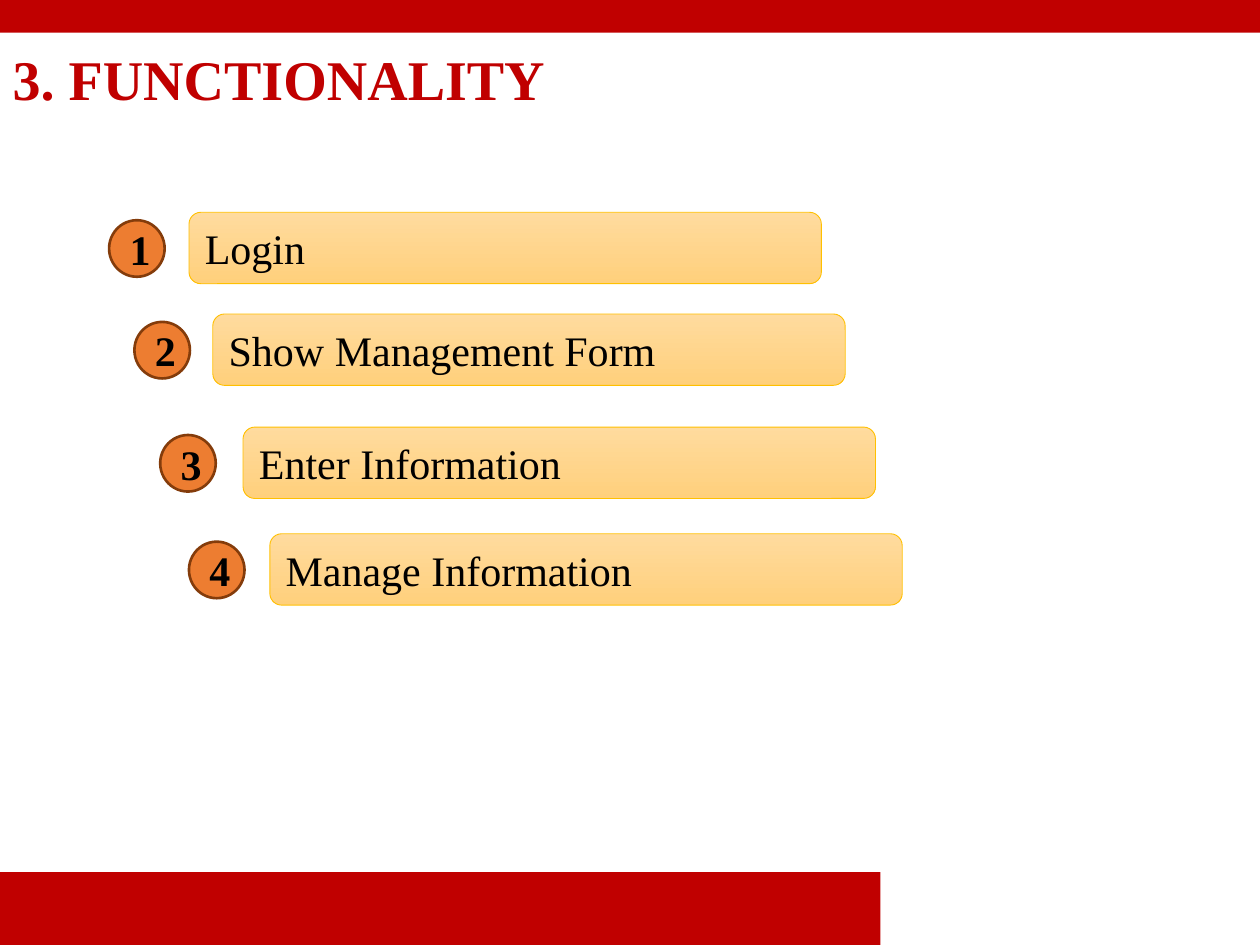
from pptx import Presentation
from pptx.dml.color import RGBColor
from pptx.enum.shapes import MSO_SHAPE
from pptx.enum.text import MSO_ANCHOR, PP_ALIGN
from pptx.util import Cm, Pt

RECTANGLE = MSO_SHAPE.RECTANGLE
ROUNDED = MSO_SHAPE.ROUNDED_RECTANGLE
OVAL = MSO_SHAPE.OVAL
MIDDLE = MSO_ANCHOR.MIDDLE
LEFT, CENTER = PP_ALIGN.LEFT, PP_ALIGN.CENTER
RED = "C00000"


def color(hex_string):
    return RGBColor.from_string(hex_string)


def write(shape, text, size, hex_string, bold, alignment):
    shape.text_frame.text = text
    shape.text_frame.vertical_anchor = MIDDLE
    paragraph = shape.text_frame.paragraphs[0]
    paragraph.alignment = alignment
    paragraph.font.name = "Times New Roman"
    paragraph.font.size = Pt(size)
    paragraph.font.bold = bold
    paragraph.font.color.rgb = color(hex_string)


presentation = Presentation()
presentation.slide_width = Cm(25.4)
presentation.slide_height = Cm(19.05)
slide = presentation.slides.add_slide(presentation.slide_layouts[5])

for top, width, height in [(17.58, 17.75, 1.47), (0, 25.4, 0.66)]:
    bar = slide.shapes.add_shape(RECTANGLE, 0, Cm(top), Cm(width), Cm(height))
    bar.shadow.inherit = False
    bar.fill.solid()
    bar.fill.fore_color.rgb = color(RED)
    bar.line.fill.background()

title = slide.shapes.title
title.left, title.top = Cm(0), Cm(0.81)
title.width, title.height = Cm(23.11), Cm(1.7)
write(title, "3. FUNCTIONALITY", 32, RED, True, LEFT)
title.text_frame.paragraphs[0].line_spacing = 0.9

functions = [
    ("Login", 2.2, 3.81, 4.28),
    ("Show Management Form", 2.71, 4.29, 6.33),
    ("Enter Information", 3.23, 4.9, 8.61),
    ("Manage Information", 3.81, 5.44, 10.76),
]
for number, (name, circle_left, box_left, top) in enumerate(functions, start=1):
    box = slide.shapes.add_shape(ROUNDED, Cm(box_left), Cm(top), Cm(12.75), Cm(1.44))
    box.shadow.inherit = False
    box.fill.gradient()
    box.fill.gradient_angle = 270
    for stop, hex_string in zip(box.fill.gradient_stops, ("FFDB9E", "FFD07C")):
        stop.color.rgb = color(hex_string)
    box.line.color.rgb = color("FFC000")
    box.line.width = Pt(0.5)
    write(box, name, 24, "000000", False, LEFT)

    circle = slide.shapes.add_shape(OVAL, Cm(circle_left), Cm(top + 0.16), Cm(1.12), Cm(1.14))
    circle.shadow.inherit = False
    circle.fill.solid()
    circle.fill.fore_color.rgb = color("ED7D31")
    circle.line.color.rgb = color("843C0B")
    circle.line.width = Pt(1.5)
    write(circle, str(number), 24, "000000", True, CENTER)

presentation.save("out.pptx")
